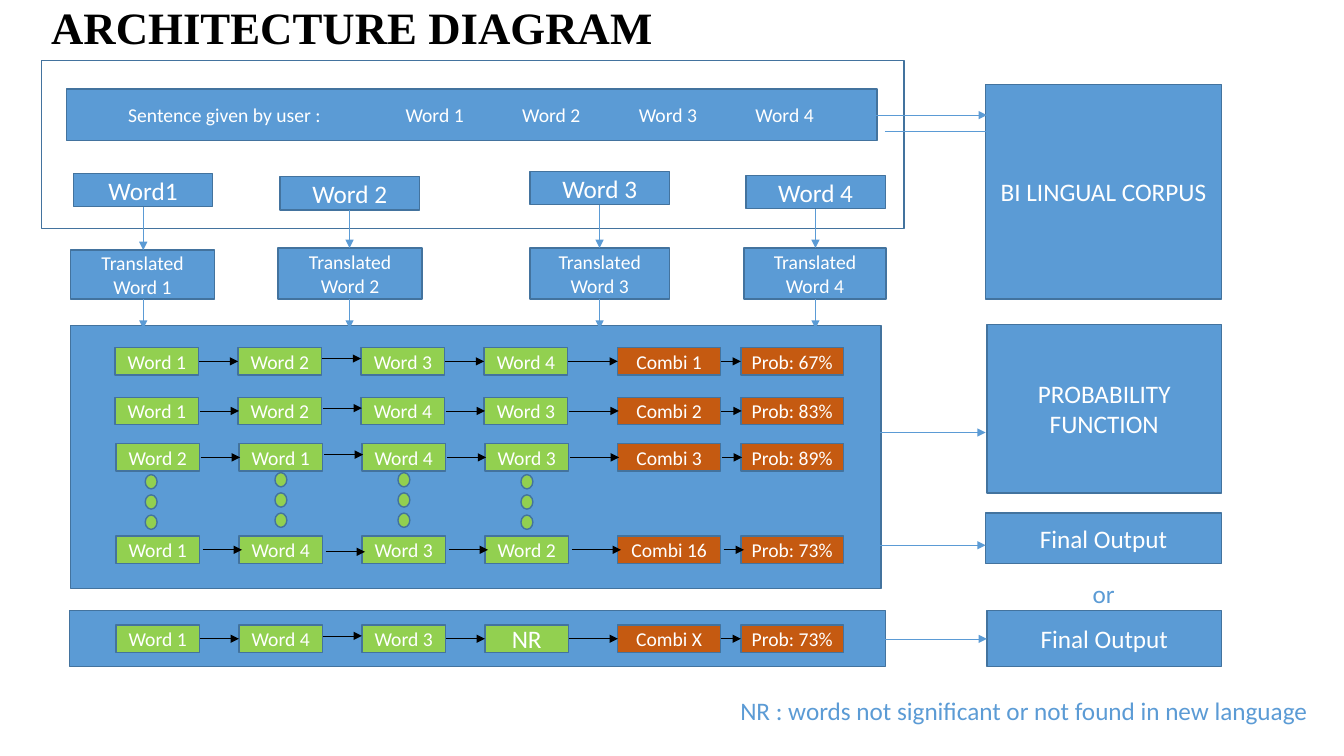
from collections import namedtuple
from itertools import pairwise

from pptx import Presentation
from pptx.dml.color import RGBColor
from pptx.enum.shapes import MSO_CONNECTOR as LINE, MSO_SHAPE as SHAPE
from pptx.enum.text import MSO_ANCHOR as ANCHOR, PP_ALIGN as ALIGN
from pptx.oxml.ns import qn
from pptx.util import Cm, Pt
from lxml.etree import SubElement

BLUE = RGBColor(0x5B, 0x9B, 0xD5)
EDGE = RGBColor(0x43, 0x73, 0x9E)
GREEN = RGBColor(0x92, 0xD0, 0x50)
ORANGE = RGBColor(0xC5, 0x5A, 0x11)
WHITE = RGBColor(0xFF, 0xFF, 0xFF)
BLACK = RGBColor(0x00, 0x00, 0x00)

Box = namedtuple("Box", "left top width height")

SMALL = {"size": Pt(14), "name": "Calibri", "bold": False}
LARGE = {**SMALL, "size": Pt(18)}
TITLE = {"size": Pt(32), "name": "Times New Roman", "bold": True}

STEP = 3.1
WORD_WIDTH, SCORE_WIDTH, CELL_HEIGHT = 2.11, 2.59, 0.69


def inside(box, left, top, width, height):
    return Box(box.left + left, box.top + top, width, height)


def write(frame, text, style, color, align=ALIGN.CENTER):
    para = frame.paragraphs[0]
    para.alignment = align
    span = para.add_run()
    span.text = text
    for name, value in style.items():
        setattr(span.font, name, value)
    span.font.color.rgb = color
    return para


def add_block(page, box, fill=BLUE, text="", style=LARGE, kind=SHAPE.RECTANGLE):
    block = page.shapes.add_shape(kind, *map(Cm, box))
    block.shadow.inherit = False
    if fill is None:
        block.fill.background()
    else:
        block.fill.solid()
        block.fill.fore_color.rgb = fill
    block.line.color.rgb = EDGE
    block.line.width = Pt(1)
    if text:
        block.text_frame.vertical_anchor = ANCHOR.MIDDLE
        write(block.text_frame, text, style, WHITE)
    return block


def add_label(page, box, text, style, color, align=ALIGN.CENTER, wrap=False):
    frame = page.shapes.add_textbox(*map(Cm, box)).text_frame
    frame.word_wrap = wrap
    frame.vertical_anchor = ANCHOR.MIDDLE if wrap else ANCHOR.TOP
    return write(frame, text, style, color, align)


def add_arrow(page, start, end, color=BLUE):
    arrow = page.shapes.add_connector(LINE.STRAIGHT, *map(Cm, start + end))
    arrow.line.color.rgb = color
    arrow.line.width = Pt(0.5)
    SubElement(arrow.line._get_or_add_ln(), qn("a:tailEnd"), type="triangle")
    SubElement(arrow._element.spPr, qn("a:effectLst"))


def add_sentence(page, box):
    bar = add_block(page, box)
    frame = bar.text_frame
    frame.margin_left = Cm(1.55)
    frame.vertical_anchor = ANCHOR.MIDDLE
    text = "\t".join(["Sentence given by user :"] + [f"Word {n}" for n in range(1, 5)])
    para = write(frame, text, SMALL, WHITE, ALIGN.LEFT)
    stops = SubElement(para._p.get_or_add_pPr(), qn("a:tabLst"))
    for index in range(4):
        SubElement(stops, qn("a:tab"), pos=str(Cm(6.99 + 2.94 * index)), algn="l")


def add_translation(page, box):
    add_block(page, box, None)
    add_sentence(page, inside(box, 0.64, 0.72, 20.42, 1.3))
    columns = [
        ("Word1", 0.81, 2.85, 0.74, 4.78, 3.63, 2.57),
        ("Word 2", 6.02, 2.93, 5.97, 4.73, 3.63, 7.77),
        ("Word 3", 12.32, 2.8, 12.32, 4.73, 3.51, 14.07),
        ("Word 4", 17.76, 2.9, 17.71, 4.73, 3.58, 19.51),
    ]
    bottom = 6.02
    for number, (word, left, top, low_left, low_top, width, axis) in enumerate(columns, 1):
        add_block(page, inside(box, left, top, 3.51, 0.84), BLUE, word)
        add_block(page, inside(box, low_left, low_top, width, bottom - low_top), BLUE,
                  f"Translated Word {number}", SMALL)
        x = box.left + axis
        add_arrow(page, (x, box.top + top + 0.84), (x, box.top + low_top))
        add_arrow(page, (x, box.top + bottom), (x, box.top + bottom + 0.74))


def add_chain(page, box, words, scores, shift=0.0, lift=0.07):
    cells = [inside(box, STEP * i, 0, WORD_WIDTH, CELL_HEIGHT) for i in range(4)]
    cells += [Box(15.57 + STEP * i, box.top, SCORE_WIDTH, CELL_HEIGHT) for i in range(2)]
    fills = [GREEN] * 4 + [ORANGE] * 2
    for cell, fill, text in zip(cells, fills, words + scores):
        add_block(page, cell, fill, text, LARGE if text == "NR" else SMALL)
    for index, (cell, following) in enumerate(pairwise(cells)):
        y = box.top + CELL_HEIGHT / 2 - (lift if index == 1 else 0)
        add_arrow(page, (cell.left + cell.width + shift, y), (following.left + shift, y), BLACK)


def add_dots(page, box):
    for left, top in ((0, 0.05), (3.27, 0), (6.37, 0), (9.47, 0.05)):
        for index in range(3):
            dot = inside(box, left, top + 0.51 * index, 0.3, 0.36)
            add_block(page, dot, GREEN, kind=SHAPE.OVAL)


def add_combinations(page, box):
    add_block(page, box)
    rows = [
        (1.12, 0.56, "1234", "1", 67, 0, 0.07),
        (1.12, 1.81, "1243", "2", 83, 0.02, 0.07),
        (1.14, 2.98, "2143", "3", 89, 0.03, 0.07),
        (1.14, 5.31, "1432", "16", 73, 0.08, -0.05),
    ]
    for left, top, order, combi, chance, shift, lift in rows:
        words = [f"Word {digit}" for digit in order]
        add_chain(page, inside(box, left, top, 17, CELL_HEIGHT), words,
                  [f"Combi {combi}", f"Prob: {chance}%"], shift, lift)
    add_dots(page, inside(box, 1.88, 3.71, 10, 1.5))


def add_unknown_case(page, box):
    add_block(page, box)
    add_chain(page, inside(box, 1.17, 0.36, 17, CELL_HEIGHT),
              ["Word 1", "Word 4", "Word 3", "NR"], ["Combi X", "Prob: 73%"])


def add_results(page, box):
    parts = [
        (0, 0, 5.94, 5.41, "BI LINGUAL CORPUS"),
        (0.03, 6.05, 5.92, 4.24, "PROBABILITY FUNCTION"),
        (0, 10.8, 5.94, 1.27, "Final Output"),
        (0.03, 13.26, 5.92, 1.4, "Final Output"),
    ]
    for left, top, width, height, text in parts:
        add_block(page, inside(box, left, top, width, height), BLUE, text)
    add_label(page, inside(box, 2.44, 12.32, 1.07, 0.99), "or", LARGE, BLUE)
    for start, end, y in ((-2.95, 0.03, 0.77), (-2.54, 0.46, 1.17), (-2.97, 0, 8.77),
                          (-2.97, 0, 11.61), (-2.95, 0.03, 13.97)):
        add_arrow(page, (box.left + start, box.top + y), (box.left + end, box.top + y))


def main():
    deck = Presentation()
    deck.slide_width, deck.slide_height = Cm(33.87), Cm(19.05)
    page = deck.slides.add_slide(deck.slide_layouts[6])
    add_combinations(page, Box(1.78, 8.2, 20.42, 6.63))
    add_translation(page, Box(1.04, 1.52, 21.74, 4.24))
    add_unknown_case(page, Box(1.75, 15.39, 20.57, 1.4))
    add_results(page, Box(24.84, 2.13, 5.94, 14.66))
    add_label(page, Box(17.88, 17.4, 15.85, 0.99),
              "NR : words not significant or not found in new language", LARGE, BLUE)
    heading = add_label(page, Box(1.04, -0.36, 28.09, 2.21), "ARCHITECTURE DIAGRAM",
                        TITLE, BLACK, ALIGN.LEFT, True)
    heading.line_spacing = 0.9
    deck.save("out.pptx")


if __name__ == "__main__":
    main()
